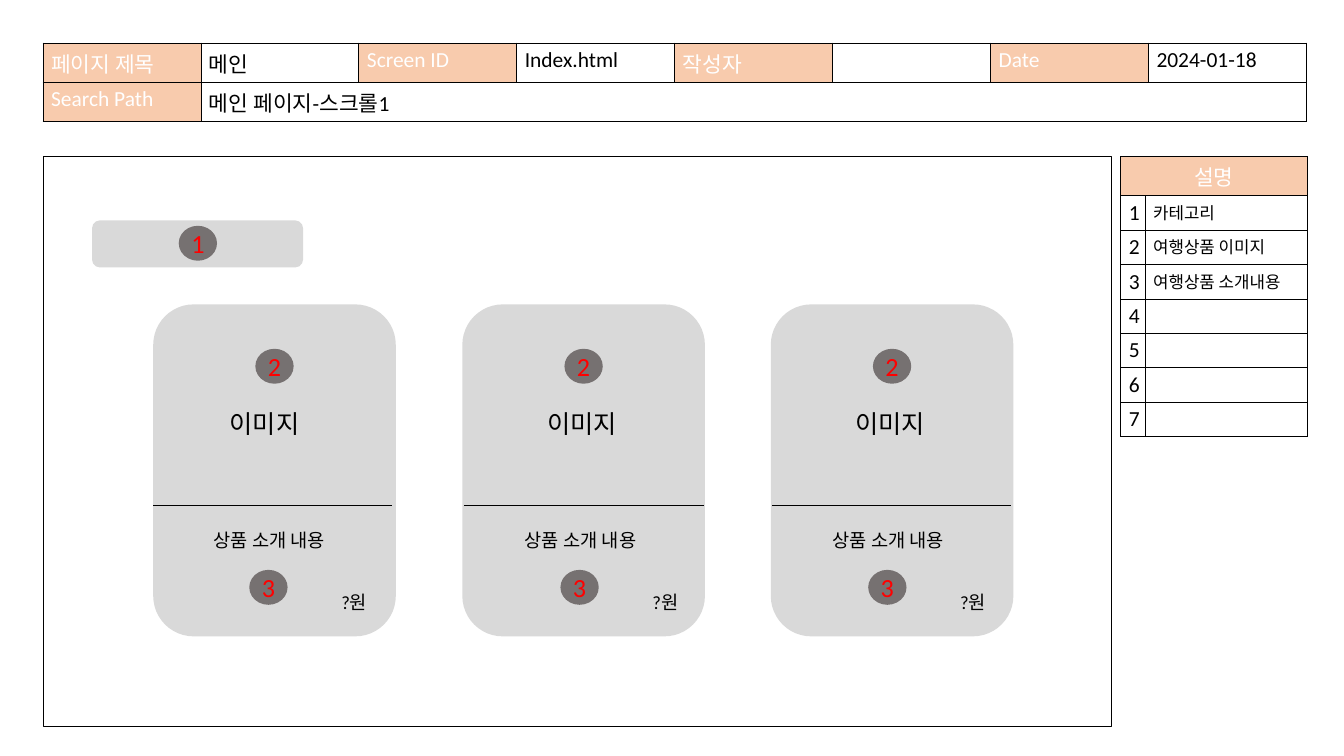
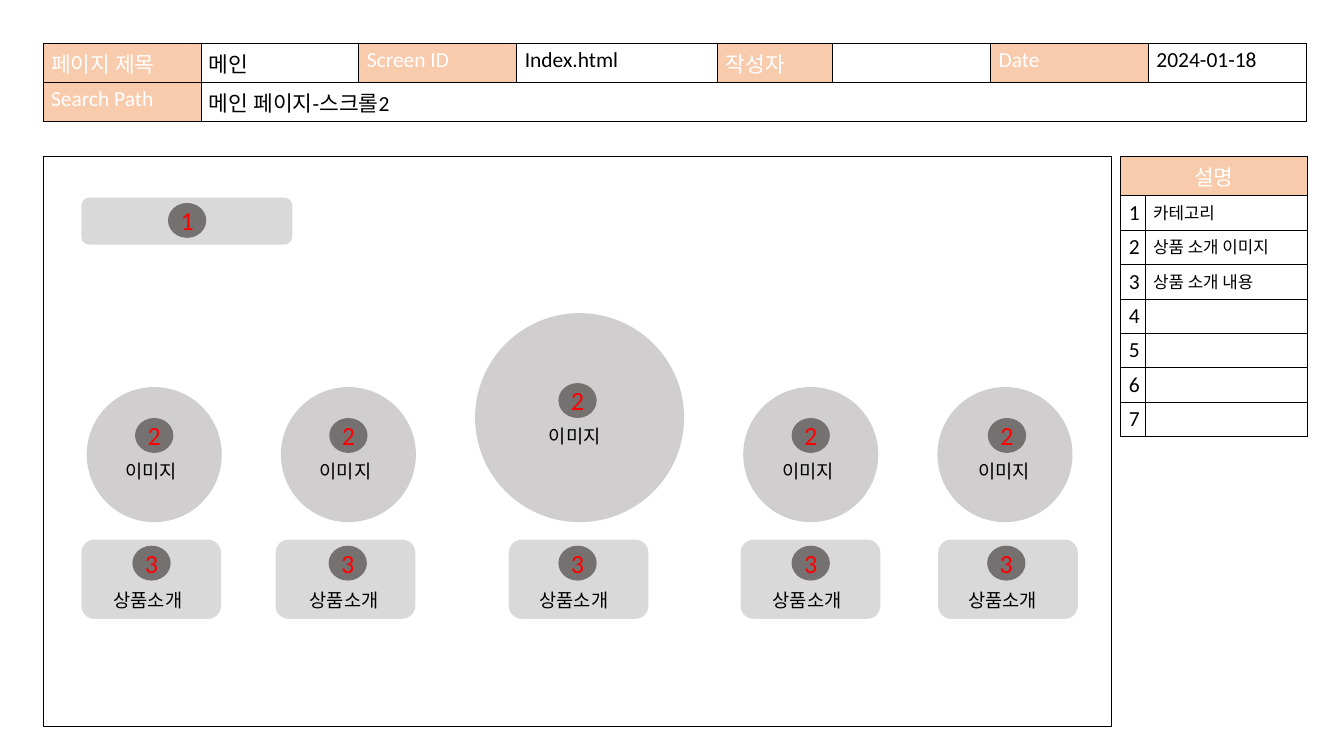
from dataclasses import dataclass

from lxml.etree import SubElement
from pptx import Presentation
from pptx.dml.color import RGBColor
from pptx.enum.shapes import MSO_CONNECTOR as Connector, MSO_SHAPE as Shape
from pptx.enum.text import MSO_ANCHOR as Anchor, MSO_AUTO_SIZE as AutoSize, PP_ALIGN as Align
from pptx.oxml.ns import qn
from pptx.util import Inches, Pt


@dataclass(frozen=True)
class Theme:
    font: str = "Calibri"
    black: str = "000000"
    white: str = "FFFFFF"
    peach: str = "F8CBAD"
    panel: str = "D9D9D9"
    circle: str = "D0CECE"
    badge: str = "767171"
    red: str = "FF0000"
    note_size: int = 18
    label_size: int = 20
    table_size: int = 23
    card_size: int = 27
    badge_size: int = 28


COLUMNS, ROWS = 20, 11.25
BADGE_WIDTH, BADGE_HEIGHT = 0.57, 0.52
LABEL_HEIGHT = 0.44


class Wireframe:
    def __init__(self, presentation, theme):
        self.presentation = presentation
        self.theme = theme
        self.slide = None

    def add_slide(self):
        self.slide = self.presentation.slides.add_slide(self.presentation.slide_layouts[6])

    def x(self, columns):
        return round(self.presentation.slide_width * columns / COLUMNS)

    def y(self, rows):
        return round(self.presentation.slide_height * rows / ROWS)

    def box(self, left, top, width, height):
        return self.x(left), self.y(top), self.x(width), self.y(height)

    def set_text(self, frame, text, size, color, align=Align.LEFT):
        paragraph = frame.paragraphs[0]
        paragraph.text = text
        paragraph.alignment = align
        paragraph.font.name = self.theme.font
        paragraph.font.size = Pt(size)
        paragraph.font.color.rgb = RGBColor.from_string(color)

    def shape(self, kind, left, top, width, height, fill=None, line=None):
        shape = self.slide.shapes.add_shape(kind, *self.box(left, top, width, height))
        shape.shadow.inherit = False
        if fill:
            shape.fill.solid()
            shape.fill.fore_color.rgb = RGBColor.from_string(fill)
        else:
            shape.fill.background()
        if line:
            shape.line.color.rgb = RGBColor.from_string(line)
            shape.line.width = Pt(1)
        else:
            shape.line.fill.background()
        return shape

    def panel(self, left, top, width, height):
        self.shape(Shape.FLOWCHART_ALTERNATE_PROCESS, left, top, width, height, self.theme.panel)

    def circle(self, left, top, diameter):
        self.shape(Shape.FLOWCHART_CONNECTOR, left, top, diameter, diameter, self.theme.circle)

    def badge(self, number, left, top):
        badge = self.shape(Shape.FLOWCHART_CONNECTOR, left, top, BADGE_WIDTH, BADGE_HEIGHT, self.theme.badge)
        badge.text_frame.vertical_anchor = Anchor.MIDDLE
        self.set_text(badge.text_frame, str(number), self.theme.badge_size, self.theme.red, Align.CENTER)

    def label(self, text, left, top, width, height=LABEL_HEIGHT, size=None, wrap=False):
        frame = self.slide.shapes.add_textbox(*self.box(left, top, width, height)).text_frame
        frame.word_wrap = wrap
        frame.auto_size = AutoSize.SHAPE_TO_FIT_TEXT
        self.set_text(frame, text, size or self.theme.label_size, self.theme.black)

    def divider(self, left, top, width):
        line = self.slide.shapes.add_connector(
            Connector.STRAIGHT, self.x(left), self.y(top), self.x(left + width), self.y(top))
        line.line.color.rgb = RGBColor.from_string(self.theme.black)
        line.line.width = Pt(0.5)
        SubElement(line.element.spPr, qn("a:effectLst"))

    def table(self, left, top, widths, row_height, rows):
        size = self.box(left, top, sum(widths), row_height * rows)
        table = self.slide.shapes.add_table(rows, len(widths), *size).table
        table.first_row = table.horz_banding = False
        for column, width in zip(table.columns, widths):
            column.width = self.x(width)
        for row in table.rows:
            row.height = self.y(row_height)
        for cell in table.iter_cells():
            cell.margin_left = cell.margin_right = Inches(0.12)
            cell.margin_top = cell.margin_bottom = Inches(0.06)
            self.border(cell)
            cell.fill.background()
        return table

    def border(self, cell):
        properties = cell._tc.get_or_add_tcPr()
        for side in ("a:lnL", "a:lnR", "a:lnT", "a:lnB"):
            line = SubElement(properties, qn(side), w=str(Pt(1)))
            fill = SubElement(line, qn("a:solidFill"))
            SubElement(fill, qn("a:srgbClr"), val=self.theme.black)

    def cell(self, cell, text, heading=False, size=None, align=Align.LEFT):
        if heading:
            cell.fill.solid()
            cell.fill.fore_color.rgb = RGBColor.from_string(self.theme.peach)
        color = self.theme.white if heading else self.theme.black
        self.set_text(cell.text_frame, text, size or self.theme.table_size, color, align)

    def page_header(self, location, widths):
        table = self.table(0.64, 0.64, widths, 0.5, 2)
        values = ("페이지 제목", "메인", "Screen ID", "Index.html", "작성자", "", "Date", "2024-01-18")
        for column, text in enumerate(values):
            self.cell(table.cell(0, column), text, heading=column % 2 == 0)
        table.cell(1, 1).merge(table.cell(1, len(widths) - 1))
        self.cell(table.cell(1, 0), "Search Path", heading=True)
        self.cell(table.cell(1, 1), location)

    def description(self, notes):
        table = self.table(16.68, 2.33, (0.36, 2.41), 0.51, 8)
        table.cell(0, 0).merge(table.cell(0, 1))
        self.cell(table.cell(0, 0), "설명", heading=True, align=Align.CENTER)
        for row in range(1, 8):
            self.cell(table.cell(row, 0), str(row), align=Align.CENTER)
            note = notes[row - 1] if row <= len(notes) else ""
            self.cell(table.cell(row, 1), note, size=self.theme.note_size)

    def page(self, location, widths, notes):
        self.add_slide()
        self.shape(Shape.RECTANGLE, 0.64, 2.33, 15.9, 8.48, line=self.theme.black)
        self.page_header(location, widths)
        self.description(notes)

    def category(self, left, top):
        self.panel(left, top, 3.14, 0.7)
        self.badge(1, left + 1.29, top + 0.08)

    def product_card(self, card_left, detail_left, image_left):
        self.panel(card_left, 4.53, 3.61, 4.94)
        self.badge(2, card_left + 1.52, 5.19)
        self.label("이미지", image_left, 6.03, 1.34, 0.56, self.theme.card_size)
        self.divider(detail_left, 7.52, 3.56)
        self.label("상품 소개 내용", detail_left + 0.8, 7.82, 2.01)
        self.badge(3, detail_left + 1.43, 8.48)
        self.label("?원", detail_left + 2.7, 8.74, 0.61, wrap=True)

    def product_circle(self, left, diameter, image_badge, panel_left, text_badge):
        top = 7.77 - diameter
        badge_top = top + (0.46 if diameter < 3 else 1.04)
        self.circle(left, top, diameter)
        self.badge(2, image_badge, badge_top)
        self.label("이미지", image_badge - 0.24, badge_top + 0.58, 1.04)
        self.panel(panel_left, 8.03, 2.08, 1.18)
        self.badge(3, text_badge, 8.12)
        self.label("상품소개", text_badge - 0.38, 8.71, 1.32)


def build_cards(wireframe):
    wireframe.page("메인 페이지-스크롤1", (2.35,) * 8, ("카테고리", "여행상품 이미지", "여행상품 소개내용"))
    wireframe.category(1.37, 3.28)
    for lefts in ((2.28, 2.28, 3.32), (6.88, 6.91, 8.05), (11.47, 11.49, 12.63)):
        wireframe.product_card(*lefts)


def build_circles(wireframe):
    widths = (2.35, 2.35, 2.35, 2.99, 1.71, 2.35, 2.35, 2.35)
    wireframe.page("메인 페이지-스크롤2", widths, ("카테고리", "상품 소개 이미지", "상품 소개 내용"))
    wireframe.category(1.21, 2.94)
    products = (
        (2.01, 2.01, 1.21, 1.97),
        (2.01, 4.9, 4.1, 4.89),
        (3.11, 8.31, 7.57, 8.31),
        (2.01, 11.78, 11.02, 11.78),
        (2.01, 14.7, 13.96, 14.69),
    )
    left, gap = 1.29, 0.88
    for diameter, *lefts in products:
        wireframe.product_circle(left, diameter, *lefts)
        left += diameter + gap


def main():
    presentation = Presentation()
    presentation.slide_width, presentation.slide_height = Inches(COLUMNS), Inches(ROWS)
    wireframe = Wireframe(presentation, Theme())
    build_cards(wireframe)
    build_circles(wireframe)
    presentation.save("out.pptx")


if __name__ == "__main__":
    main()
